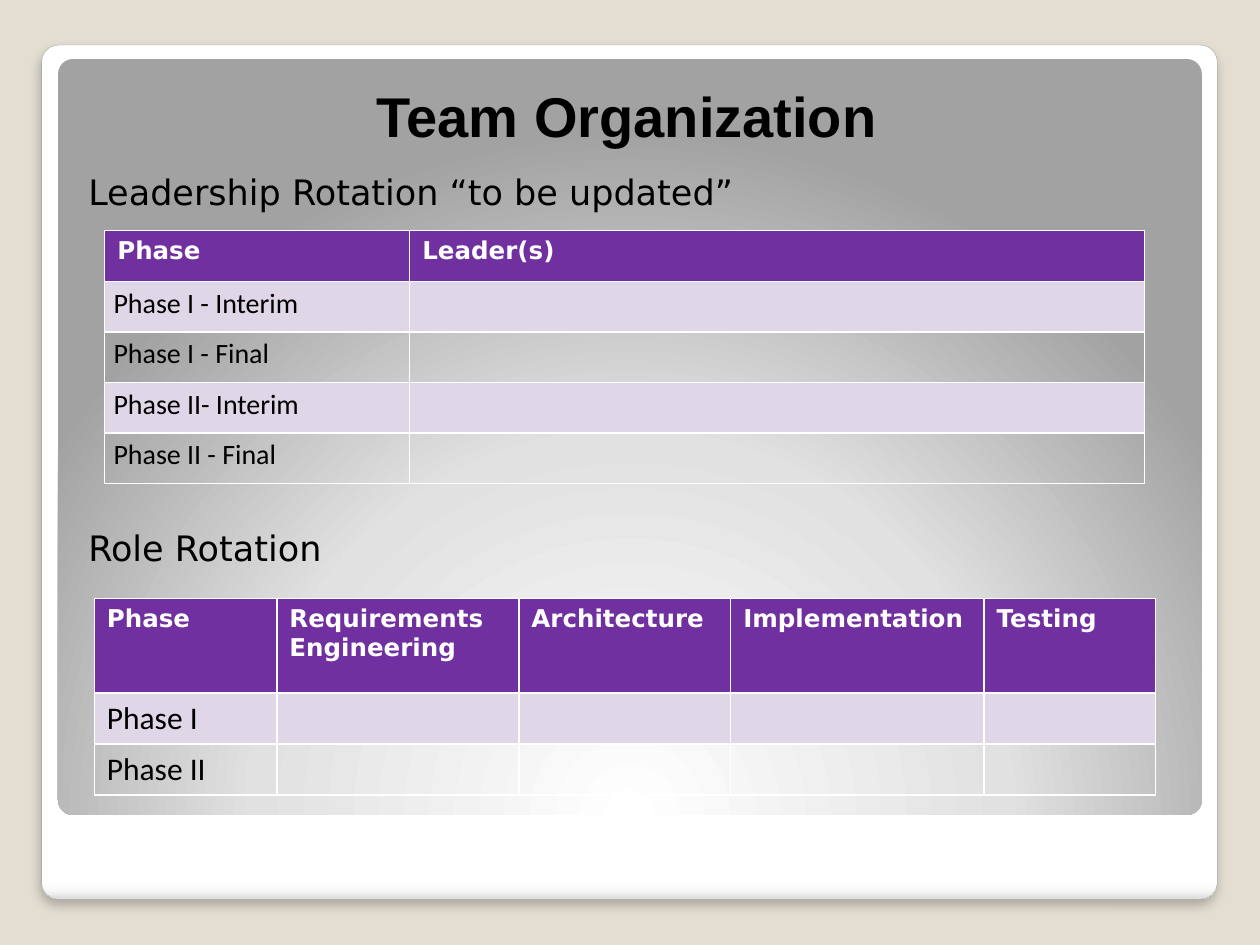
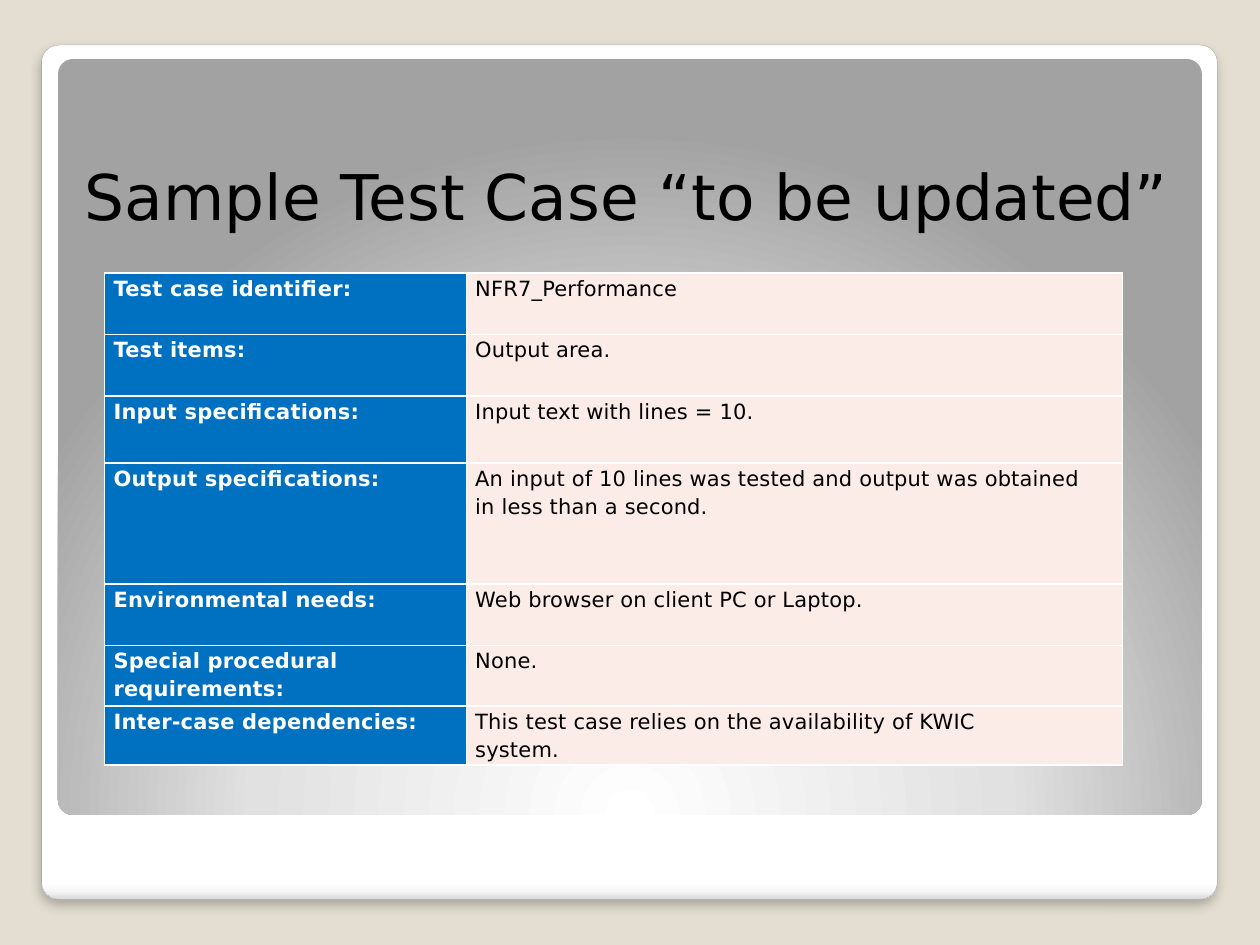
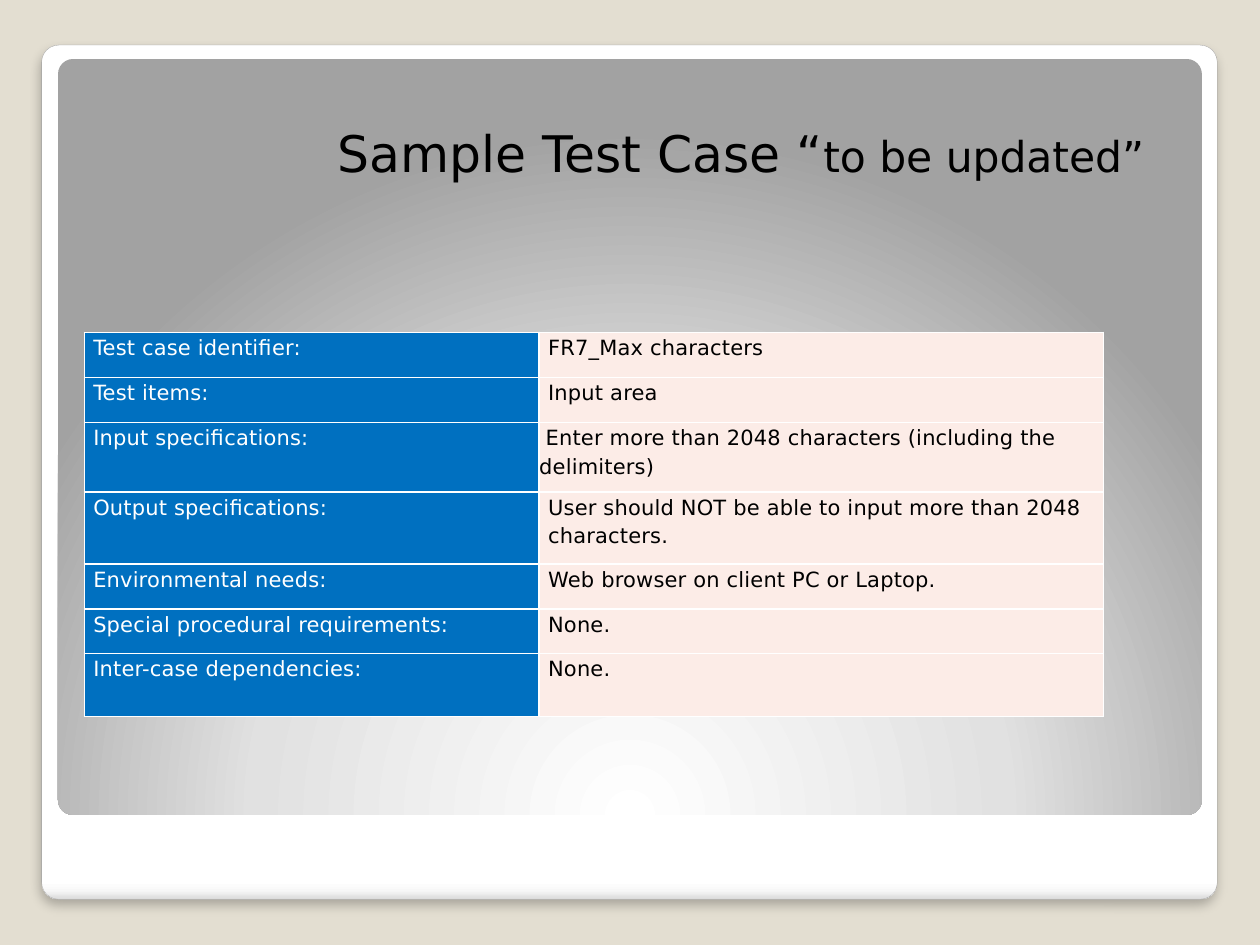
from pptx import Presentation
from pptx.dml.color import RGBColor as Rgb
from pptx.enum.shapes import MSO_SHAPE as Form
from pptx.enum.text import MSO_ANCHOR as Anchor, MSO_AUTO_SIZE as Fit, PP_ALIGN as Align
from pptx.oxml import parse_xml
from pptx.util import Cm, Pt

NS = 'xmlns:a="http://schemas.openxmlformats.org/drawingml/2006/main"'
SAND = Rgb(0xE3, 0xDE, 0xD1)
EDGE = Rgb(0xA4, 0xA4, 0xA4)
BLACK = Rgb(0, 0, 0)
WHITE = Rgb(255, 255, 255)
SNOW = Rgb(0xF7, 0xF7, 0xF7)
MIST = Rgb(0xDA, 0xDA, 0xDA)
PALE = Rgb(0xE1, 0xE1, 0xE1)
GREY = Rgb(0xA2, 0xA2, 0xA2)
PURPLE = Rgb(0x70, 0x30, 0xA0)
LILAC = Rgb(0xDF, 0xD7, 0xE7)
BLUE = Rgb(0, 0x70, 0xC0)
BLUSH = Rgb(0xFC, 0xEC, 0xE7)

SANS = "DejaVu Sans"
PLAIN = {"name": "Calibri", "bold": False}
SMALL = {"name": SANS, "size": Pt(12)}
LOOSE = {"line_spacing": 1.15, "space_before": Pt(0.1)}
SNUG = {"margin_left": Cm(0.18), "margin_right": 0, "margin_top": 0, "margin_bottom": 0}

HEAD = {"fill": PURPLE, "ink": WHITE, "font": {"name": SANS, "size": Pt(14), "bold": True}}
STAGE = {
    "font": {**PLAIN, "size": Pt(16)},
    "par": {"line_spacing": 1.15, "space_after": Pt(10)},
    "cell": {**SNUG, "margin_right": Cm(0.18)},
}
ROLE = {"font": {**PLAIN, "size": Pt(18)}}
LABEL = {"fill": BLUE, "ink": WHITE, "font": SMALL, "par": LOOSE, "cell": SNUG, "gap": 10}
VALUE = {**LABEL, "fill": BLUSH, "ink": BLACK, "font": {**SMALL, "bold": False}}

FIELDS = [
    "Test case identifier:", "Test items:", "Input specifications:",
    "Output specifications:", "Environmental needs:",
    "Special procedural requirements:", "Inter-case dependencies:",
]
SPEED = [
    "NFR7_Performance", "Output area.", "Input text with lines = 10.",
    "An input of 10 lines was tested and output was obtained in less than a second.",
    "Web browser on client PC or Laptop.", "None.",
    "This test case relies on the availability of KWIC\nsystem.",
]
LIMIT = [
    "FR7_Max characters", "Input area",
    "Enter more than 2048 characters (including the delimiters)",
    "User should NOT be able to input more than 2048 characters.",
    "Web browser on client PC or Laptop.", "None.", "None.",
]


def put(item, vals):
    for key, val in vals.items():
        setattr(item, key, val)


def place(item, box):
    put(item, dict(zip(("left", "top", "width", "height"), map(Cm, box))))


def write(par, text, font, ink=BLACK, gap=0):
    run = par.add_run()
    run.text = text
    put(run.font, font)
    run.font.color.rgb = ink
    if gap:
        run._r.get_or_add_rPr().set("spc", str(gap))


def blend(shape, stops, path):
    marks = "".join(
        f'<a:gs pos="{pos * 1000}"><a:srgbClr val="{tone}"/></a:gs>' for pos, tone in stops
    )
    shape.fill.background()
    flat = shape.element.spPr.find("{*}noFill")
    flat.getparent().replace(
        flat, parse_xml(f'<a:gradFill {NS} rotWithShape="1"><a:gsLst>{marks}</a:gsLst>{path}</a:gradFill>')
    )


def plate(slide, box, stops, path):
    shape = slide.shapes.add_shape(Form.ROUNDED_RECTANGLE, *map(Cm, box))
    shape.adjustments[0] = 0.02
    shape.shadow.inherit = False
    blend(shape, stops, path)
    shape.line.fill.background()
    return shape


def frame(deck, slide):
    master = deck.slide_master
    master.background.fill.solid()
    master.background.fill.fore_color.rgb = SAND
    card = plate(
        slide, (0.84, 0.91, 23.7, 17.22),
        [(0, WHITE), (98, WHITE), (99, SNOW), (100, MIST)],
        '<a:lin ang="5400000" scaled="0"/>',
    )
    card.line.color.rgb = EDGE
    card.line.width = Pt(0.16)
    card.element.spPr.find("{*}effectLst").append(parse_xml(
        f'<a:outerShdw {NS} blurRad="{Pt(6)}" dist="{Pt(4)}" dir="5400000" algn="t" rotWithShape="0">'
        '<a:srgbClr val="000000"><a:alpha val="25000"/></a:srgbClr></a:outerShdw>'
    ))
    panel = plate(
        slide, (1.17, 1.19, 23.06, 15.24),
        [(0, WHITE), (55, PALE), (100, GREY)],
        '<a:path path="circle"><a:fillToRect l="50000" t="175000" r="50000" b="-75000"/></a:path>',
    )
    for spot, shape in enumerate((card, panel), 2):
        master.shapes.element.insert(spot, shape.element)


def head(slide, box, runs, align=Align.CENTER, inset=0, lead=1.0):
    title = slide.shapes.title
    place(title, box)
    put(title.text_frame, {"auto_size": Fit.NONE, "vertical_anchor": Anchor.BOTTOM, "word_wrap": True})
    par = title.text_frame.paragraphs[0]
    put(par, {"alignment": align, "line_spacing": lead, "space_before": 0})
    par._p.get_or_add_pPr().set("marL", str(Cm(inset)))
    for text, font in runs:
        write(par, text, font)


def topics(slide, box, items):
    body = slide.placeholders[1]
    place(body, box)
    text = body.text_frame
    put(text, {
        "auto_size": Fit.NONE, "word_wrap": True, "margin_left": Cm(0.51),
        "margin_top": Cm(0.25), "margin_bottom": Cm(0.13),
    })
    for num, (line, space) in enumerate(items):
        par = text.add_paragraph() if num else text.paragraphs[0]
        par.space_before = Pt(space)
        props = par._p.get_or_add_pPr()
        put_xml = {"marL": "0", "indent": "0"}
        for key, val in put_xml.items():
            props.set(key, val)
        props.append(parse_xml(f"<a:buNone {NS}/>"))
        write(par, line, {"name": SANS, "size": Pt(20)})


def dress(cell, text, look):
    put(cell, look.get("cell", {}))
    if "fill" in look:
        cell.fill.solid()
        cell.fill.fore_color.rgb = look["fill"]
    else:
        cell.fill.background()
    for num, line in enumerate(text.split("\n") if text else []):
        par = cell.text_frame.add_paragraph() if num else cell.text_frame.paragraphs[0]
        put(par, look.get("par", {}))
        write(par, line, look["font"], look.get("ink", BLACK), look.get("gap", 0))


def grid(slide, spot, cols, rows, data, pick, header):
    size = (sum(cols), sum(rows))
    table = slide.shapes.add_table(len(rows), len(cols), *map(Cm, spot + size)).table
    put(table, {"first_row": header, "horz_banding": False})
    for col, width in zip(table.columns, cols):
        col.width = Cm(width)
    for r, (row, height) in enumerate(zip(table.rows, rows)):
        row.height = Cm(height)
        for c, cell in enumerate(row.cells):
            dress(cell, data[r][c] if c < len(data[r]) else "", pick(r, c))
    return table


def plan(slide, spot, cols, rows, data, look):
    def pick(r, c):
        if r == 0:
            return HEAD
        return {**look, "fill": LILAC} if r % 2 else look

    grid(slide, spot, cols, rows, data, pick, True)


def case(slide, spot, cols, rows, facts, bold, end=0):
    label = {**LABEL, "font": {**SMALL, "bold": bold}}
    value = {**VALUE, "cell": {**SNUG, "margin_right": Cm(end)}}
    return grid(slide, spot, cols, rows, list(zip(FIELDS, facts)), lambda r, c: (label, value)[c], False)


def team(slide):
    head(slide, (1.27, 1.27, 22.73, 1.85),
         [("Team Organization", {"name": "Arial", "size": Pt(32), "bold": True})], lead=0.8)
    topics(slide, (1.27, 3.18, 22.73, 14.17),
           [("Leadership Rotation “to be updated”", 2.5), ("Role Rotation", 179.5)])
    plan(slide, (2.11, 4.65), (6.15, 14.81), (1.02,) * 5, [
        ["Phase", "Leader(s)"], ["Phase I - Interim"], ["Phase I - Final"],
        ["Phase II- Interim"], ["Phase II - Final"],
    ], STAGE)
    plan(slide, (1.9, 12.07), (3.68, 4.88, 4.27, 5.11, 3.45), (1.9, 1.02, 1.02), [
        ["Phase", "Requirements Engineering", "Architecture", "Implementation", "Testing"],
        ["Phase I"], ["Phase II"],
    ], ROLE)


def speed(slide):
    head(slide, (1.27, 1.9, 22.73, 2.92),
         [("Sample Test Case “to be updated”", {"name": SANS, "size": Pt(36)})])
    case(slide, (2.11, 5.5), (7.29, 13.23), (1.24, 1.24, 1.35, 2.44, 1.24, 1.22, 1.19),
         SPEED, True, 0.76)


def limit(slide):
    head(slide, (1.47, 1.9, 22.86, 1.9), [
        ("Sample Test Case “", {"name": SANS, "size": Pt(28.8)}),
        ("to be updated”", {"name": SANS, "size": Pt(24.3)}),
    ], Align.LEFT, 5.08)
    table = case(slide, (1.7, 6.7), (9.17, 11.38), (0.91, 0.91, 1.4, 1.45, 0.91, 0.89, 1.27),
                 LIMIT, False)
    cell = table.cell(2, 1)
    cell.margin_left = 0
    cell.text_frame.paragraphs[0]._p.get_or_add_pPr().set("indent", str(Cm(0.13)))


def main():
    deck = Presentation()
    put(deck, {"slide_width": Cm(25.4), "slide_height": Cm(19.05)})
    pages = [(1, team), (5, speed), (5, limit)]
    for num, (kind, build) in enumerate(pages):
        slide = deck.slides.add_slide(deck.slide_layouts[kind])
        if num == 0:
            frame(deck, slide)
        build(slide)
    deck.save("out.pptx")


if __name__ == "__main__":
    main()
